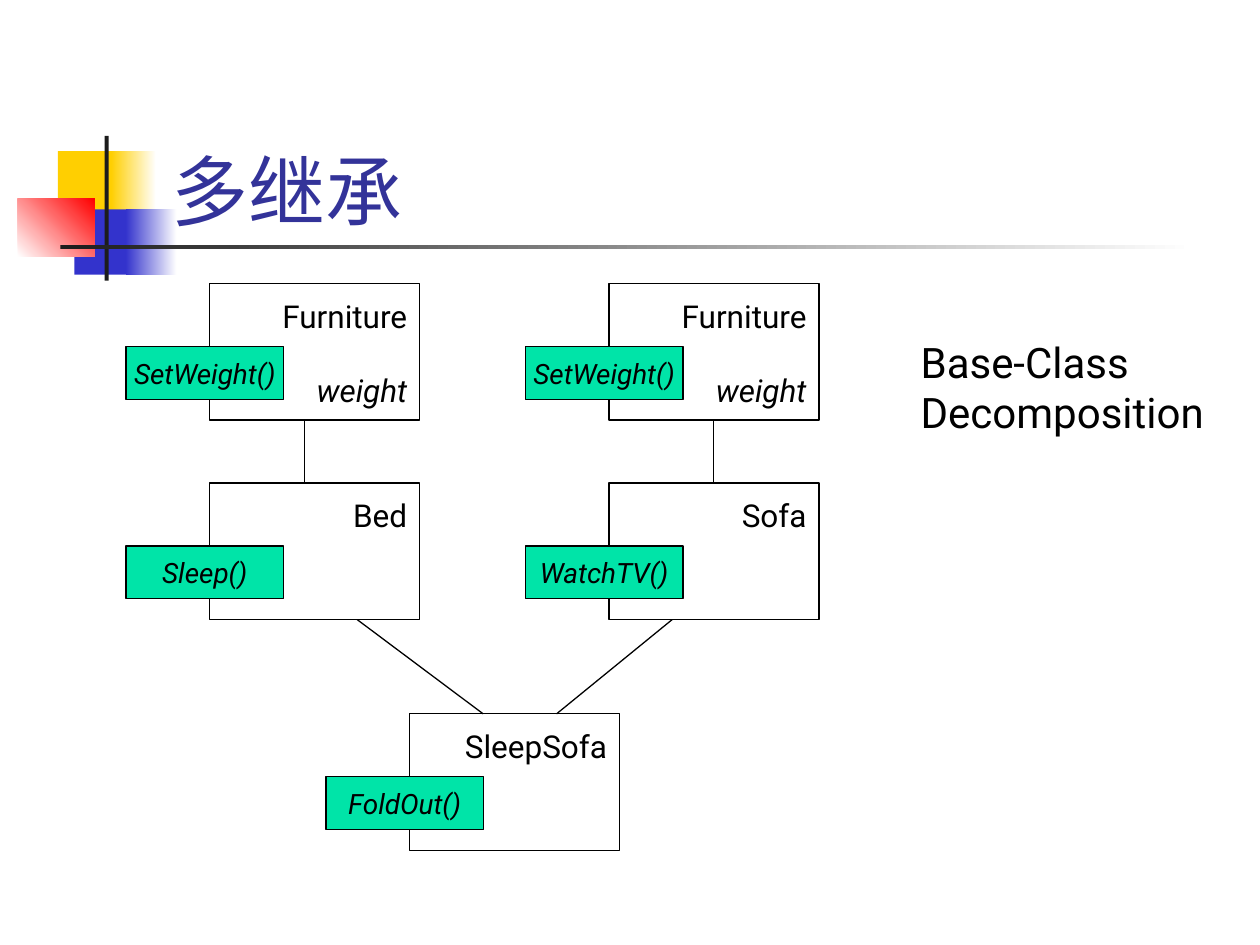
"""Build the multiple-inheritance slide with its class diagram."""
import pptx
import pptx.dml.color
import pptx.enum.shapes
import pptx.enum.text
import pptx.oxml.ns
import pptx.util
from lxml import etree

Cm = pptx.util.Cm
Pt = pptx.util.Pt
ANCHOR = pptx.enum.text.MSO_ANCHOR
ALIGN = pptx.enum.text.PP_ALIGN
COLOURS = {
    "yellow": "FFCF01", "blue": "3333CC", "red": "FF0000", "bar": "1C1C1C",
    "white": "FFFFFF", "title": "333399", "text": "000000", "method": "00E4A8",
}
FONT = "Roboto"
CLASS_SIZE = (4.23, 2.75)
METHOD_SIZE = (3.18, 1.06)
METHOD_OFFSET = (-1.69, 1.27)
LEFT, MIDDLE, RIGHT = 4.23, 8.26, 12.28
ROWS = (5.72, 9.74, 14.39)


def colour(name):
    """Return the named palette colour."""
    return pptx.dml.color.RGBColor.from_string(COLOURS[name])


def apply(target, values):
    """Set each attribute in values on target."""
    for name, value in values.items():
        setattr(target, name, value)


def add_box(page, box, fill=(), outlined=False, angle=0):
    """Add a rectangle with no fill, a solid fill or a two-colour gradient."""
    shape = page.shapes.add_shape(
        pptx.enum.shapes.MSO_SHAPE.RECTANGLE, *map(Cm, box))
    shape.shadow.inherit = False
    if len(fill) == 2:
        shape.fill.gradient()
        shape.fill.gradient_angle = angle
        for stop, name in zip(shape.fill.gradient_stops, fill):
            stop.color.rgb = colour(name)
    elif fill:
        shape.fill.solid()
        shape.fill.fore_color.rgb = colour(fill[0])
    else:
        shape.fill.background()
    if outlined:
        shape.line.color.rgb = colour("text")
        shape.line.width = Pt(0.75)
    else:
        shape.line.fill.background()
    return shape


def write(shape, lines, size, frame, tint="text", align=ALIGN.LEFT):
    """Write (text, italic, space before) lines into a shape."""
    apply(shape.text_frame, frame)
    for index, (text, italic, gap) in enumerate(lines):
        paras = shape.text_frame.paragraphs
        para = paras[0] if index == 0 else shape.text_frame.add_paragraph()
        para.alignment = align
        if gap:
            para.space_before = Pt(gap)
        span = para.add_run()
        span.text = text
        apply(span.font, {"name": FONT, "size": Pt(size), "italic": italic})
        span.font.color.rgb = colour(tint)


def add_ornament(page, left, top):
    """Place the coloured squares and the crossing bars."""
    parts = [
        ((0.81, 0.31, 1.22, 1.32), ("yellow",), 0),
        ((1.88, 0.31, 0.91, 1.32), ("yellow", "white"), 0),
        ((1.14, 1.48, 1.17, 1.32), ("blue",), 0),
        ((2.18, 1.48, 1.02, 1.32), ("blue", "white"), 0),
        ((0, 1.27, 1.55, 1.17), ("white", "red"), 45),
        ((1.75, 0, 0.08, 2.92), ("bar",), 0),
        ((0.86, 2.2, 22.86, 0.09), ("bar", "white"), 0),
    ]
    for (x, y, width, height), fill, angle in parts:
        add_box(page, (left + x, top + y, width, height), fill, angle=angle)


def add_text(page, box, lines, size, frame, tint="text"):
    """Place a plain text box."""
    shape = page.shapes.add_textbox(*map(Cm, box))
    write(shape, lines, size, frame, tint)


def add_class(page, left, top, name, method, member=None):
    """Place a class box with its method tag overlapping the left side."""
    body = add_box(page, (left, top, *CLASS_SIZE), outlined=True)
    lines = [(name, False, 0)]
    if member:
        lines.append((member, True, 21))
    write(body, lines, 18,
          {"word_wrap": False, "vertical_anchor": ANCHOR.TOP,
           "margin_top": Cm(0.26)}, align=ALIGN.RIGHT)
    x, y = METHOD_OFFSET
    tag = add_box(page, (left + x, top + y, *METHOD_SIZE), ("method",), True)
    write(tag, [(method, True, 0)], 16,
          {"word_wrap": False, "vertical_anchor": ANCHOR.MIDDLE},
          align=ALIGN.CENTER)


def add_link(page, start_x, start_row, end_x):
    """Draw a line from the foot of one row to the top of the next."""
    link = page.shapes.add_connector(
        pptx.enum.shapes.MSO_CONNECTOR.STRAIGHT,
        Cm(start_x), Cm(ROWS[start_row] + CLASS_SIZE[1]),
        Cm(end_x), Cm(ROWS[start_row + 1]))
    link.line.color.rgb = colour("text")
    link.line.width = Pt(0.75)
    properties = link._element.spPr
    etree.SubElement(properties, pptx.oxml.ns.qn("a:effectLst"))


def add_diagram(page):
    """Place the class boxes and the lines between them."""
    classes = [
        (LEFT, 0, "Furniture", "SetWeight()", "weight"),
        (RIGHT, 0, "Furniture", "SetWeight()", "weight"),
        (LEFT, 1, "Bed", "Sleep()", None),
        (RIGHT, 1, "Sofa", "WatchTV()", None),
        (MIDDLE, 2, "SleepSofa", "FoldOut()", None),
    ]
    for left, row, name, method, member in classes:
        add_class(page, left, ROWS[row], name, method, member)
    for link in [(6.14, 0, 6.14), (7.2, 1, 9.74),
                 (13.55, 1, 11.22), (14.39, 0, 14.39)]:
        add_link(page, *link)


def main():
    """Build and save the deck."""
    deck = pptx.Presentation()
    apply(deck, {"slide_width": Cm(25.4), "slide_height": Cm(19.05)})
    page = deck.slides.add_slide(deck.slide_layouts[6])
    add_ornament(page, 0.36, 2.74)
    add_text(page, (3.2, 1.7, 21.64, 3.18), [("多继承", False, 0)], 44,
             {"word_wrap": True, "vertical_anchor": ANCHOR.BOTTOM}, "title")
    add_diagram(page)
    add_text(page, (18.31, 6.65, 6.53, 2.29),
             [("Base-Class", False, 0), ("Decomposition", False, 0)], 24,
             {"word_wrap": False,
              "auto_size": pptx.enum.text.MSO_AUTO_SIZE.SHAPE_TO_FIT_TEXT})
    deck.save("out.pptx")


if __name__ == "__main__":
    main()
